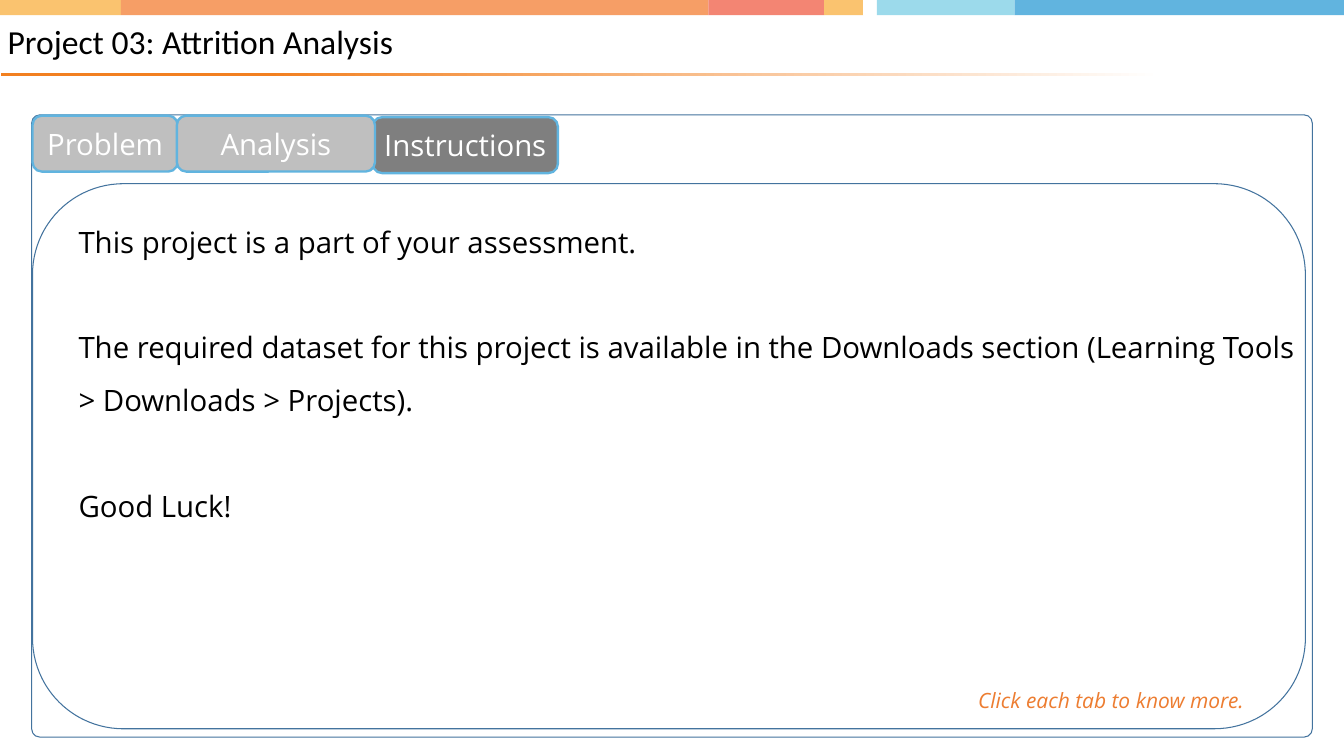
from pptx import Presentation
from pptx.dml.color import RGBColor
from pptx.enum.shapes import MSO_SHAPE
from pptx.enum.text import MSO_ANCHOR, MSO_AUTO_SIZE, PP_ALIGN
from pptx.util import Inches, Pt

RECT, ROUNDED = MSO_SHAPE.RECTANGLE, MSO_SHAPE.ROUNDED_RECTANGLE
MIDDLE = MSO_ANCHOR.MIDDLE
LEFT, CENTER = PP_ALIGN.LEFT, PP_ALIGN.CENTER
GROW, FIXED = MSO_AUTO_SIZE.SHAPE_TO_FIT_TEXT, MSO_AUTO_SIZE.NONE

WIDTH, HEIGHT = Inches(17.78), Inches(10)

BLACK = RGBColor(0, 0, 0)
WHITE = RGBColor(255, 255, 255)
YELLOW = RGBColor(0xFA, 0xC3, 0x6F)
PEACH = RGBColor(0xF6, 0x9E, 0x66)
CORAL = RGBColor(0xF3, 0x85, 0x73)
AQUA = RGBColor(0x9C, 0xDA, 0xEB)
SKY = RGBColor(0x61, 0xB4, 0xDF)
ORANGE = RGBColor(0xF2, 0x80, 0x20)
RUST = RGBColor(0xED, 0x7D, 0x31)
NAVY = RGBColor(0x43, 0x73, 0x9E)
ACTIVE = RGBColor(0x7F, 0x7F, 0x7F)
INACTIVE = RGBColor(0xBF, 0xBF, 0xBF)

BODY_FONT = "Open Sans"
TITLE = "Project 03: Attrition Analysis"
HINT = "Click each tab to know more."
INSTRUCTIONS = [
    "This project is a part of your assessment.",
    "The required dataset for this project is available in the Downloads "
    "section (Learning Tools > Downloads > Projects).",
    "Good Luck!",
]

BAND_EDGES = [0, 9, 52.7, 61.33, 64.23, 65.24, 75.5, 100]
BAND_COLORS = [YELLOW, PEACH, CORAL, YELLOW, WHITE, AQUA, SKY]
TABS = [
    ("Instructions", 27.73, 15.5, 13.78, ACTIVE),
    ("Problem", 2.42, 15.3, 10.8, INACTIVE),
    ("Analysis", 13.16, 15.3, 14.74, INACTIVE),
]


def area(left, top, width, height):
    return (int(WIDTH * left / 100), int(HEIGHT * top / 100),
            int(WIDTH * width / 100), int(HEIGHT * height / 100))


def style(p, size, color, font=BODY_FONT, align=LEFT):
    p.font.size = Pt(size)
    p.font.name = font
    p.font.color.rgb = color
    p.alignment = align


def add_box(s, kind, box, fill=None, line=None, line_width=1):
    sp = s.shapes.add_shape(kind, *area(*box))
    sp.shadow.inherit = False
    if fill is None:
        sp.fill.background()
    else:
        sp.fill.solid()
        sp.fill.fore_color.rgb = fill
    if line is None:
        sp.line.fill.background()
    else:
        sp.line.color.rgb = line
        sp.line.width = Pt(line_width)
    return sp


def add_header(s):
    for left, right, color in zip(BAND_EDGES, BAND_EDGES[1:], BAND_COLORS):
        add_box(s, RECT, (left, -0.1, right - left, 2.1), color)
    rule = add_box(s, RECT, (0.06, 9.6, 86.33, 0.4))
    rule.fill.gradient()
    rule.fill.gradient_angle = 0
    stops = zip(rule.fill.gradient_stops, [0.23, 1], [ORANGE, WHITE])
    for stop, position, color in stops:
        stop.position = position
        stop.color.rgb = color


def add_title(s):
    sp = s.shapes.title
    sp.left, sp.top, sp.width, sp.height = area(0, 2.1, 81.83, 7.3)
    tf = sp.text_frame
    tf.text = TITLE
    tf.auto_size = FIXED
    tf.word_wrap = True
    tf.vertical_anchor = MIDDLE
    tf.margin_left = Inches(0.1)
    tf.margin_top = tf.margin_right = tf.margin_bottom = 0
    p = tf.paragraphs[0]
    style(p, 32, BLACK, "Calibri")
    p.line_spacing = 0.9


def add_tab(s, label, left, top, width, fill):
    sp = add_box(s, ROUNDED, (left, top, width, 7.4), fill, SKY, 2.25)
    tf = sp.text_frame
    tf.text = label
    tf.vertical_anchor = MIDDLE
    style(tf.paragraphs[0], 28, WHITE, align=CENTER)


def add_text(s, box, lines, size, color):
    tf = s.shapes.add_textbox(*area(*box)).text_frame
    tf.word_wrap = True
    tf.auto_size = GROW
    tf.text = "\n".join(lines)
    for p in tf.paragraphs:
        style(p, size, color)
    return tf


def main():
    prs = Presentation()
    prs.slide_width, prs.slide_height = WIDTH, HEIGHT
    s = prs.slides.add_slide(prs.slide_layouts[5])
    add_header(s)
    add_title(s)
    frame = add_box(s, ROUNDED, (2.36, 15.2, 95.28, 82.3), line=NAVY)
    frame.adjustments[0] = 0.013
    add_box(s, ROUNDED, (2.42, 24.3, 94.71, 72.1), line=NAVY)
    for tab in TABS:
        add_tab(s, *tab)
    hint = add_text(s, (72.22, 90.4, 23.4, 4.4), [HINT], 20, RUST)
    hint.paragraphs[0].font.italic = True
    body = add_text(s, (5.29, 26.8, 91.84, 43.4), INSTRUCTIONS, 28, BLACK)
    for p in body.paragraphs:
        p.line_spacing = 1.5
    for p in body.paragraphs[:-1]:
        p.space_after = Pt(50)
    prs.save("out.pptx")


main()
